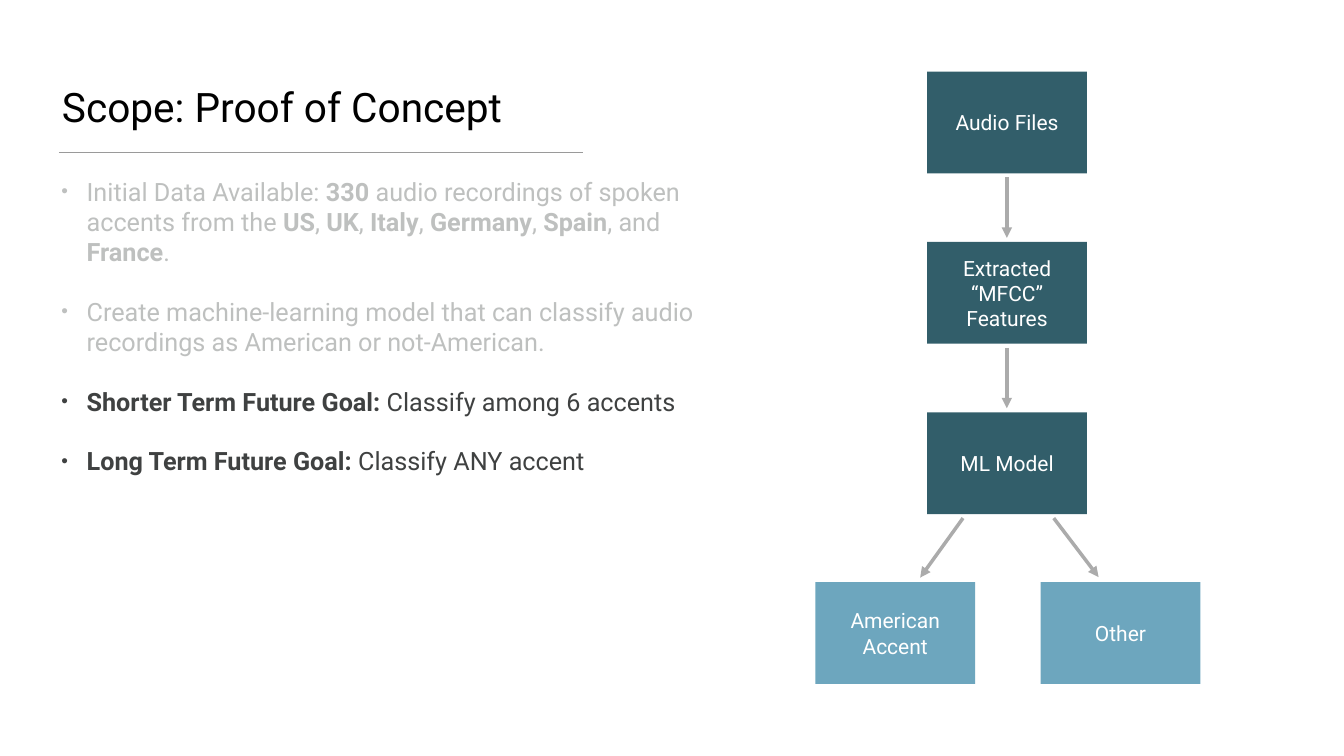
from lxml import etree
from pptx import Presentation
from pptx import util as u
from pptx.dml.color import RGBColor
from pptx.enum import shapes, text
from pptx.oxml.ns import qn

PX = 9144  # 100 px to the inch
FONT = "Roboto"
BLACK = RGBColor(0x00, 0x00, 0x00)
WHITE = RGBColor(0xFF, 0xFF, 0xFF)
FADED = RGBColor(0xBE, 0xC0, 0xBF)
DARK = RGBColor(0x3F, 0x41, 0x41)
RULE = RGBColor(0x9A, 0x9A, 0x9A)
ARROW = RGBColor(0xAB, 0xAB, 0xAB)
TEAL = RGBColor(0x32, 0x5E, 0x6A)
BLUE = RGBColor(0x6D, 0xA6, 0xBE)

deck = Presentation()
deck.slide_width, deck.slide_height = 2667 * PX, 1500 * PX
page = deck.slides.add_slide(deck.slide_layouts[1])


def set_frame(frame, anchor):
    frame.word_wrap = True
    frame.auto_size = text.MSO_AUTO_SIZE.NONE
    frame.vertical_anchor = anchor
    frame.margin_left = frame.margin_right = 6 * PX
    frame.margin_top = frame.margin_bottom = 6 * PX


def add_line(x1, y1, x2, y2, color, width):
    line = page.shapes.add_connector(
        shapes.MSO_CONNECTOR.STRAIGHT, x1 * PX, y1 * PX, x2 * PX, y2 * PX)
    line.line.color.rgb = color
    line.line.width = u.Pt(width)
    etree.SubElement(line._element.spPr, qn("a:effectLst"))
    return line


# Title and the rule below it
title = page.shapes.title
title.left, title.top, title.width, title.height = 117 * PX, 51 * PX, 1042 * PX, 215 * PX
set_frame(title.text_frame, text.MSO_ANCHOR.BOTTOM)
para = title.text_frame.paragraphs[0]
para.text = "Scope: Proof of Concept"
para.alignment = text.PP_ALIGN.LEFT
para.font.name, para.font.size = FONT, u.Pt(58)
para.font.color.rgb = BLACK
add_line(117, 303, 1157, 303, RULE, 1)

# Bullet list: pieces at odd positions are bold
bullets = [
    (FADED, ["Initial Data Available: ", "330", " audio recordings of spoken accents from the ",
             "US", ", ", "UK", ", ", "Italy", ", ", "Germany", ", ", "Spain", ", and ",
             "France", "."]),
    (FADED, ["Create machine-learning model that can classify audio recordings as "
             "American or not-American."]),
    (DARK, ["", "Shorter Term Future Goal: ", "Classify among 6 accents"]),
    (DARK, ["", "Long Term Future Goal: ", "Classify ANY accent"]),
]
body = page.placeholders[1]
body.left, body.top, body.width, body.height = 116 * PX, 343 * PX, 1301 * PX, 1025 * PX
set_frame(body.text_frame, text.MSO_ANCHOR.TOP)
for number, (color, pieces) in enumerate(bullets):
    para = body.text_frame.add_paragraph() if number else body.text_frame.paragraphs[0]
    para.space_before = u.Pt(42 if number else 0)
    props = para._p.get_or_add_pPr()
    props.set("marL", str(50 * PX))
    props.set("indent", str(-50 * PX))
    etree.SubElement(props, qn("a:buSzPct"), val="75000")
    etree.SubElement(props, qn("a:buChar"), char="•")
    para.font.name, para.font.size = FONT, u.Pt(36)
    para.font.color.rgb = color
    for position, piece in enumerate(pieces):
        if piece:
            span = para.add_run()
            span.text = piece
            span.font.bold = position % 2 == 1

# Flow chart boxes: three steps in a column, then two outcomes
STEP_X, STEP_Y, PITCH = 1840, 142, 338
BOX_W, BOX_H = 317, 202
boxes = [(STEP_X, STEP_Y + row * PITCH, label, TEAL)
         for row, label in enumerate(["Audio Files", "Extracted “MFCC” Features", "ML Model"])]
boxes += [(1618, 1155, "American Accent", BLUE), (2065, 1155, "Other", BLUE)]
for x, y, label, color in boxes:
    box = page.shapes.add_shape(
        shapes.MSO_SHAPE.RECTANGLE, x * PX, y * PX, BOX_W * PX, BOX_H * PX)
    box.shadow.inherit = False
    box.fill.solid()
    box.fill.fore_color.rgb = color
    box.line.fill.background()
    set_frame(box.text_frame, text.MSO_ANCHOR.MIDDLE)
    para = box.text_frame.paragraphs[0]
    para.text = label
    para.alignment = text.PP_ALIGN.CENTER
    para.font.name, para.font.size = FONT, u.Pt(30)
    para.font.color.rgb = WHITE

# Arrows between the boxes
arrows = [(1998, 352 + row * PITCH, 1998, 472 + row * PITCH) for row in range(2)]
arrows += [(1911, 1028, 1826, 1146), (2091, 1028, 2180, 1145)]
for ends in arrows:
    arrow = add_line(*ends, ARROW, 5)
    etree.SubElement(arrow.line._get_or_add_ln(), qn("a:tailEnd"), type="triangle")

deck.save("out.pptx")
